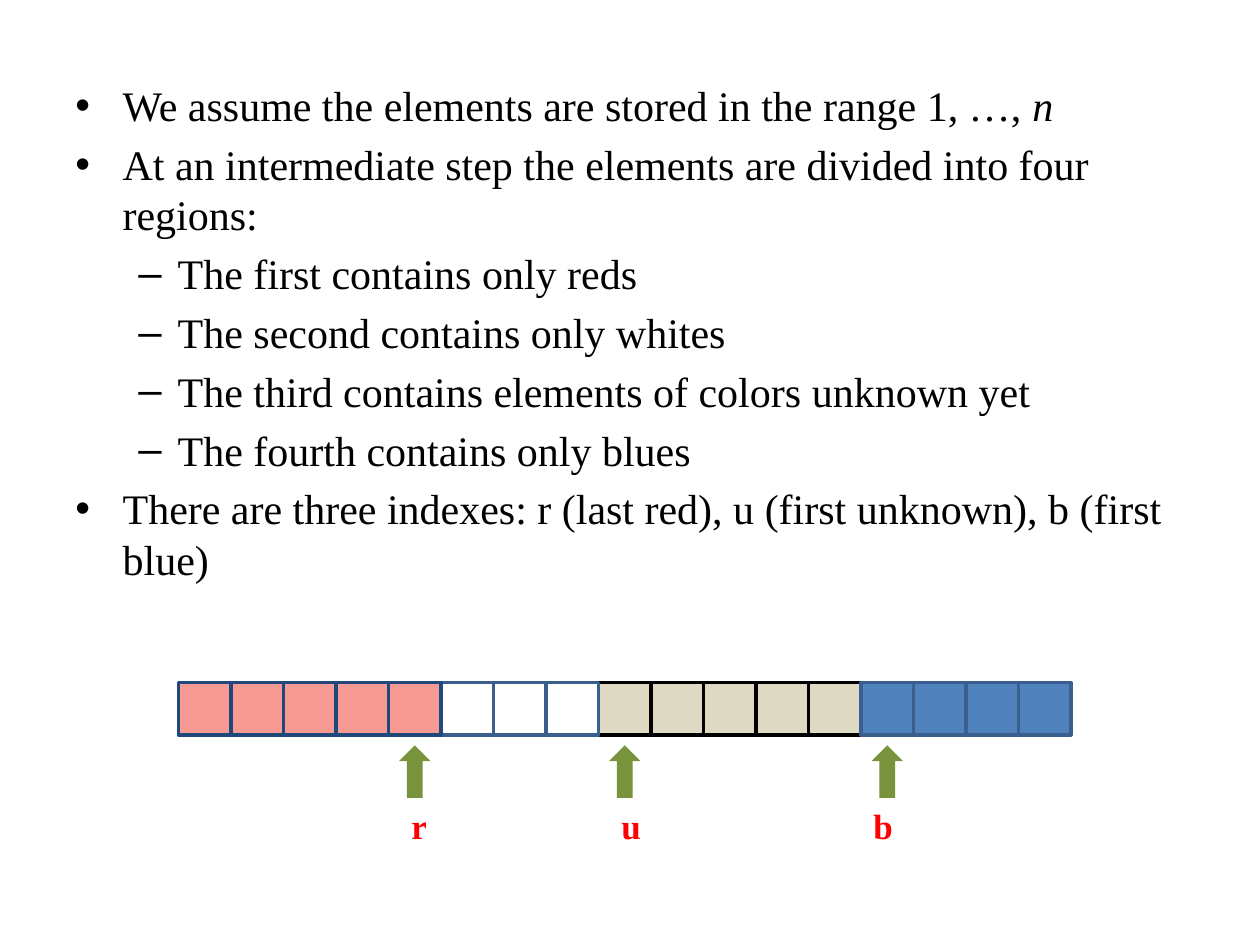
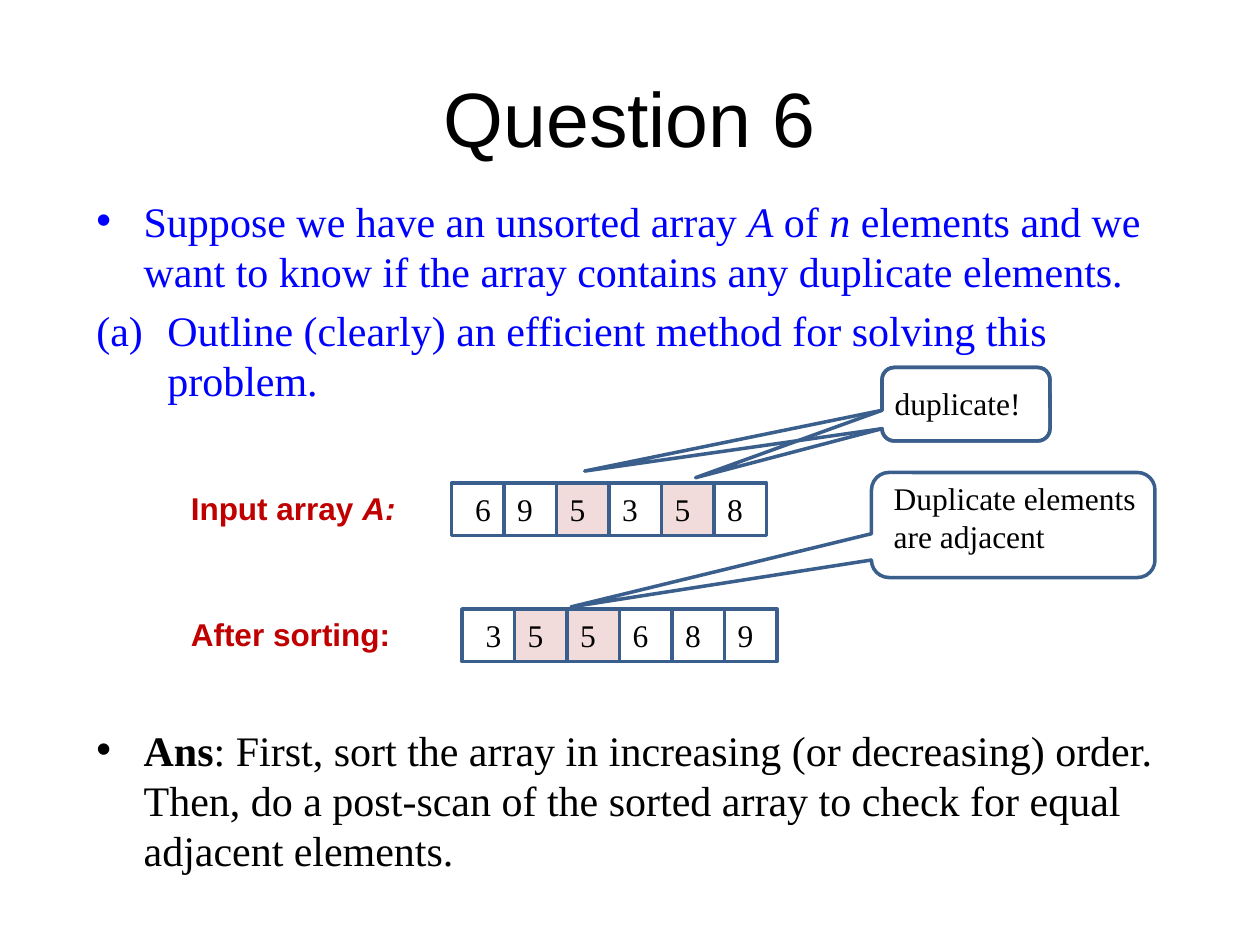
from pptx import Presentation
from pptx.dml.color import RGBColor
from pptx.enum.shapes import MSO_SHAPE
from pptx.enum.text import MSO_ANCHOR, PP_ALIGN
from pptx.oxml import parse_xml
from pptx.oxml.ns import nsdecls
from pptx.util import Emu, Pt

SERIF = "Times New Roman"
SANS = "Arial"
BLACK = "000000"
WHITE = "FFFFFF"
BLUE = "0000FF"
RED = "FF0000"
DARK_RED = "C00000"
OUTLINE = "3A5F8C"
PINK = "F2DCDB"
GREEN = "77933C"
CELL = 40


def px(value):
    return Emu(value * 9525)


def color(value):
    return RGBColor.from_string(value)


class Deck:
    def __init__(self):
        self.presentation = Presentation()
        self.presentation.slide_width = px(960)
        self.presentation.slide_height = px(720)
        self.slide = None

    def add_slide(self, title=None):
        layouts = self.presentation.slide_layouts
        layout = layouts.get_by_name("Title Only" if title else "Blank")
        self.slide = self.presentation.slides.add_slide(layout)
        if title:
            shape = self.slide.shapes.title
            shape.left, shape.top, shape.width, shape.height = map(px, (48, 29, 864, 120))
            shape.text_frame.vertical_anchor = MSO_ANCHOR.MIDDLE
            paragraph = shape.text_frame.paragraphs[0]
            paragraph.alignment = PP_ALIGN.CENTER
            self.runs(paragraph, [(title, "")], 44, SANS, BLACK)

    def runs(self, paragraph, parts, size, font, ink):
        for text, style in parts:
            run = paragraph.add_run()
            run.text = text
            run.font.size = Pt(size)
            run.font.name = font
            run.font.color.rgb = color(ink)
            run.font.bold = "b" in style
            run.font.italic = "i" in style

    def text_box(self, left, top, width, height):
        box = self.slide.shapes.add_textbox(*map(px, (left, top, width, height)))
        box.text_frame.word_wrap = True
        return box.text_frame

    def label(self, left, top, width, parts, size, font, ink):
        frame = self.text_box(left, top, width, 40)
        self.runs(frame.paragraphs[0], parts, size, font, ink)

    def body(self, left, top, width, height, items, ink=BLACK):
        frame = self.text_box(left, top, width, height)
        for index, (bullet, indent, hanging, parts) in enumerate(items):
            paragraph = frame.add_paragraph() if index else frame.paragraphs[0]
            if index:
                paragraph.space_before = Pt(4.8)
            properties = paragraph._p.get_or_add_pPr()
            properties.set("marL", str(px(indent)))
            properties.set("indent", str(px(-hanging)))
            if bullet:
                properties.append(parse_xml(f'<a:buFont {nsdecls("a")} typeface="{SANS}"/>'))
                properties.append(parse_xml(f'<a:buChar {nsdecls("a")} char="{bullet}"/>'))
            self.runs(paragraph, parts, 24, SERIF, ink)

    def shape(self, kind, left, top, width, height, fill=None, line=None, text="", inset=(0, 0)):
        shape = self.slide.shapes.add_shape(kind, *map(px, (left, top, width, height)))
        shape.shadow.inherit = False
        if fill:
            shape.fill.solid()
            shape.fill.fore_color.rgb = color(fill)
        else:
            shape.fill.background()
        if line:
            shape.line.color.rgb = color(line)
            shape.line.width = Pt(2)
        else:
            shape.line.fill.background()
        if text:
            frame = shape.text_frame
            frame.word_wrap = True
            frame.vertical_anchor = MSO_ANCHOR.TOP
            frame.margin_left, frame.margin_top = map(px, inset)
            frame.margin_right = frame.margin_bottom = 0
            paragraph = frame.paragraphs[0]
            paragraph.alignment = PP_ALIGN.LEFT
            self.runs(paragraph, [(text, "")], 18, SERIF, BLACK)
        return shape

    def callout(self, left, top, width, height, tip, text="", inset=(0, 0)):
        shape = self.shape(MSO_SHAPE.ROUNDED_RECTANGULAR_CALLOUT, left, top, width, height,
                           line=OUTLINE, text=text, inset=inset)
        shape.adjustments[0], shape.adjustments[1] = tip

    def array(self, left, top, numbers, marked):
        for index, number in enumerate(numbers):
            self.shape(MSO_SHAPE.RECTANGLE, left + index * CELL, top, CELL, CELL,
                       PINK if number in marked else WHITE, OUTLINE,
                       str(number), (10 if index else 18, 5))


def regions_slide(deck):
    deck.add_slide()
    deck.body(48, 56, 864, 420, [
        ("•", 36, 36, [("We assume the elements are stored in the range 1, …, ", ""), ("n", "i")]),
        ("•", 36, 36, [("At an intermediate step the elements are divided into four regions:", "")]),
        *[("–", 78, 30, [(f"The {region}", "")]) for region in (
            "first contains only reds",
            "second contains only whites",
            "third contains elements of colors unknown yet",
            "fourth contains only blues")],
        ("•", 36, 36, [("There are three indexes: r (last red), u (first unknown), b (first blue)", "")]),
    ])
    regions = [
        (8, 5, "DDD9C3", BLACK),
        (5, 3, WHITE, OUTLINE),
        (0, 5, "F79A93", "1F497D"),
        (13, 4, "4F81BD", OUTLINE),
    ]
    for first, count, fill, line in regions:
        for index in range(first, first + count):
            deck.shape(MSO_SHAPE.RECTANGLE, 136 + index * CELL, 520, CELL, CELL, fill, line)
    for name, index, label_left in (("r", 4, 304), ("u", 8, 464), ("b", 13, 656)):
        deck.shape(MSO_SHAPE.UP_ARROW, 144 + index * CELL, 568, 24, 40, GREEN)
        deck.label(label_left, 608, 36, [(name, "b")], 20, SERIF, RED)


def duplicates_slide(deck):
    deck.add_slide("Question 6")
    deck.body(64, 144, 848, 170, [
        ("•", 36, 36, [
            ("Suppose we have an unsorted array ", ""), ("A", "i"), (" of ", ""), ("n", "i"),
            (" elements and we want to know if the array contains any duplicate elements.", "")]),
        ("", 54, 54, [("(a)\tOutline (clearly) an efficient method for solving this problem.", "")]),
    ], BLUE)
    deck.body(64, 547, 848, 130, [
        ("•", 36, 36, [
            ("Ans", "b"),
            (": First, sort the array in increasing (or decreasing) order. Then, do a post-scan "
             "of the sorted array to check for equal adjacent elements.", "")]),
    ])
    numbers = [6, 9, 5, 3, 5, 8]
    duplicates = {number for number in numbers if numbers.count(number) > 1}
    deck.array(344, 368, numbers, duplicates)
    deck.array(352, 464, sorted(numbers), duplicates)
    deck.label(136, 368, 184, [("Input array ", "b"), ("A:", "bi")], 18, SANS, DARK_RED)
    deck.label(136, 464, 184, [("After sorting:", "b")], 18, SANS, DARK_RED)
    deck.callout(672, 280, 128, 56, (-2.27, 0.91))
    deck.callout(672, 280, 128, 56, (-1.61, 1), "duplicate!", (7, 10))
    deck.callout(664, 360, 216, 80, (-1.56, 0.78), "Duplicate elements are adjacent", (13, 1))


def main():
    deck = Deck()
    regions_slide(deck)
    duplicates_slide(deck)
    deck.presentation.save("out.pptx")


if __name__ == "__main__":
    main()
